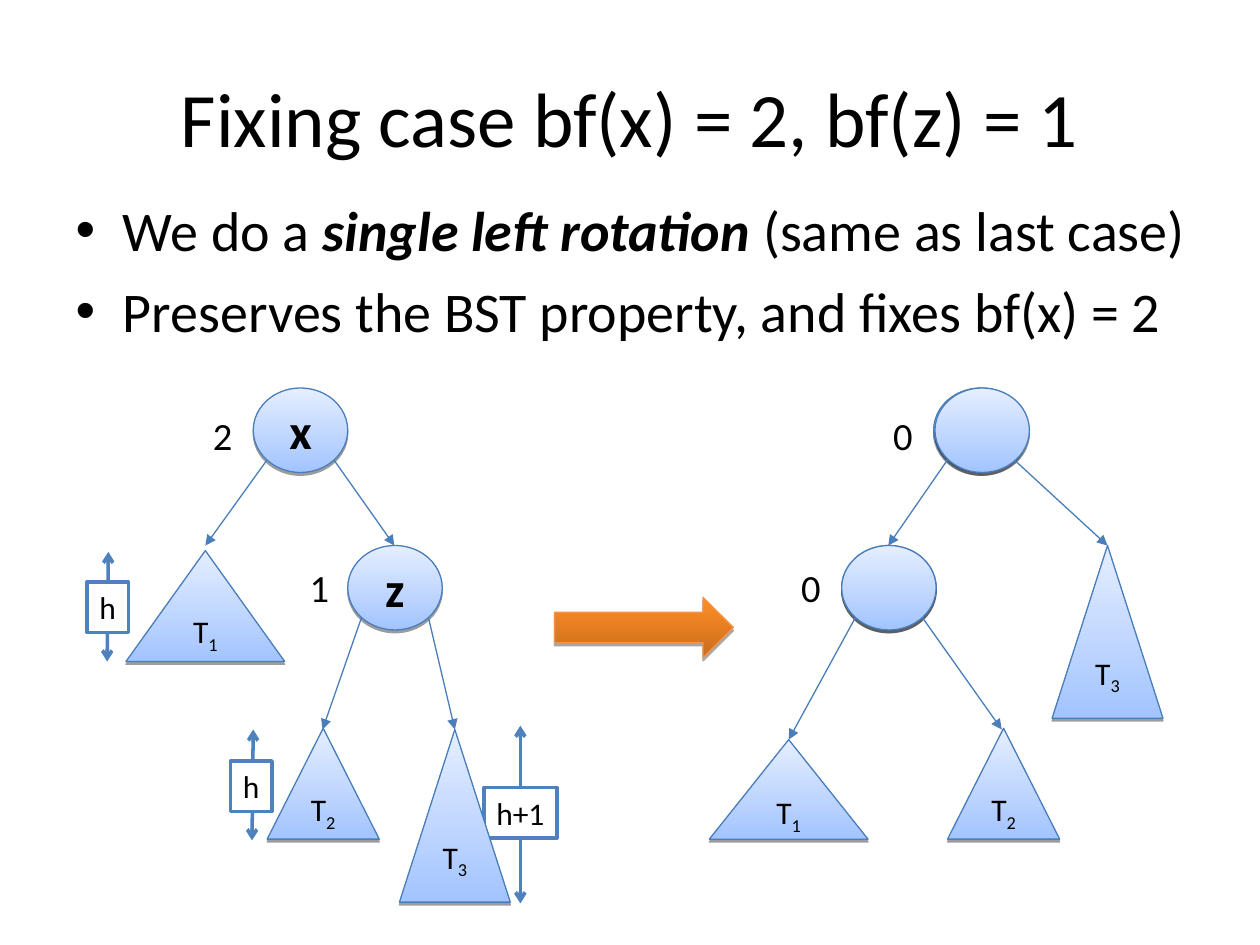
from typing import NamedTuple

from lxml.etree import SubElement
from pptx import Presentation
from pptx.dml.color import RGBColor
from pptx.enum.shapes import MSO_CONNECTOR as Connector, MSO_SHAPE as Preset
from pptx.enum.text import MSO_ANCHOR as Anchor, MSO_AUTO_SIZE as AutoSize, PP_ALIGN as Align
from pptx.oxml.ns import qn
from pptx.shapes.autoshape import Shape
from pptx.slide import Slide
from pptx.util import Inches, Pt

BLACK = RGBColor(0x00, 0x00, 0x00)
WHITE = RGBColor(0xFF, 0xFF, 0xFF)
BLUE_DARK = RGBColor(0xA3, 0xC4, 0xFF)
BLUE_LIGHT = RGBColor(0xE5, 0xEE, 0xFF)
BLUE_OUTLINE = RGBColor(0x4A, 0x7E, 0xBB)
MEASURE_BLUE = RGBColor(0x4F, 0x81, 0xBD)
ORANGE_DARK = RGBColor(0xCB, 0x6C, 0x1D)
ORANGE_LIGHT = RGBColor(0xFF, 0x8F, 0x26)
ORANGE_OUTLINE = RGBColor(0xF6, 0x92, 0x40)
FONT = "Calibri"
NODE_WIDTH, NODE_HEIGHT = 0.75, 0.67
BOX_HEIGHT = 0.4


class Style(NamedTuple):
    dark: RGBColor
    light: RGBColor
    outline: RGBColor
    shadow_alpha: int
    shadow_distance: float


class Node(NamedTuple):
    left: float
    top: float
    key: str = ""


class Balance(NamedTuple):
    left: float
    top: float
    factor: str


class Subtree(NamedTuple):
    left: float
    top: float
    width: float
    height: float
    index: str


class Line(NamedTuple):
    x1: float
    y1: float
    x2: float
    y2: float


class Measure(NamedTuple):
    line: Line
    left: float
    top: float
    width: float
    text: str


TREE_STYLE = Style(BLUE_DARK, BLUE_LIGHT, BLUE_OUTLINE, 38, 1.6)
ARROW_STYLE = Style(ORANGE_DARK, ORANGE_LIGHT, ORANGE_OUTLINE, 35, 1.8)

MEASURES = [
    Measure(Line(4.13, 5.76, 4.13, 7.17), 3.84, 6.25, 0.58, "h+1"),
    Measure(Line(0.86, 4.38, 0.85, 5.25), 0.69, 4.62, 0.33, "h"),
    Measure(Line(2.01, 5.79, 2.0, 6.67), 1.83, 6.04, 0.33, "h"),
]
SUBTREES = [
    Subtree(1.0, 4.37, 1.26, 0.88, "1"),
    Subtree(2.12, 5.78, 0.89, 0.88, "2"),
    Subtree(3.17, 5.79, 0.88, 1.37, "3"),
    Subtree(5.63, 5.87, 1.26, 0.79, "1"),
    Subtree(7.52, 5.78, 0.89, 0.88, "2"),
    Subtree(8.35, 4.33, 0.88, 1.37, "3"),
]
NODES = [
    Node(2.01, 3.08, "x"),
    Node(2.76, 4.33, "z"),
    Node(7.41, 3.08),
    Node(6.68, 4.33),
    Node(7.42, 3.08),
    Node(6.68, 4.33),
]
BALANCES = [
    Balance(1.59, 3.22, "2"),
    Balance(2.36, 4.43, "1"),
    Balance(6.99, 3.22, "0"),
    Balance(6.26, 4.43, "0"),
]
EDGES = [
    Line(2.12, 3.65, 1.63, 4.33),
    Line(2.65, 3.65, 3.13, 4.33),
    Line(2.87, 4.9, 2.56, 5.79),
    Line(3.4, 4.9, 3.61, 5.79),
    Line(7.52, 3.65, 7.05, 4.33),
    Line(8.05, 3.65, 8.79, 4.33),
    Line(6.79, 4.9, 6.26, 5.87),
    Line(7.32, 4.9, 7.95, 5.79),
]


def format_font(font, size: float, bold: bool = False) -> None:
    font.name, font.size, font.bold = FONT, Pt(size), bold
    font.color.rgb = BLACK


def place(shape: Shape, left: float, top: float, width: float, height: float) -> None:
    shape.left, shape.top = Inches(left), Inches(top)
    shape.width, shape.height = Inches(width), Inches(height)


def add_gradient_shape(slide: Slide, preset: Preset, left: float, top: float,
                       width: float, height: float, style: Style) -> Shape:
    shape = slide.shapes.add_shape(preset, Inches(left), Inches(top), Inches(width), Inches(height))
    shape.fill.gradient()
    shape.fill.gradient_angle = 90
    for stop, color in zip(shape.fill.gradient_stops, (style.dark, style.light)):
        stop.color.rgb = color
    shape.line.color.rgb = style.outline
    shape.line.width = Pt(0.75)
    shape.shadow.inherit = False
    effects = shape._element.spPr.find(qn("a:effectLst"))
    shadow = SubElement(effects, qn("a:outerShdw"), blurRad="0", dist=str(Pt(style.shadow_distance)),
                        dir="5400000", rotWithShape="0")
    color = SubElement(shadow, qn("a:srgbClr"), val=str(BLACK))
    SubElement(color, qn("a:alpha"), val=str(style.shadow_alpha * 1000))
    shape.text_frame.vertical_anchor = Anchor.MIDDLE
    shape.text_frame.paragraphs[0].alignment = Align.CENTER
    return shape


def add_line(slide: Slide, line: Line, color: RGBColor, width: float, **ends: str) -> None:
    connector = slide.shapes.add_connector(Connector.STRAIGHT, *map(Inches, line))
    connector.line.color.rgb = color
    connector.line.width = Pt(width)
    outline = connector.line._get_or_add_ln()
    for end, kind in ends.items():
        SubElement(outline, qn(f"a:{end}"), type=kind)
    SubElement(connector._element.spPr, qn("a:effectLst"))


def set_label(shape: Shape, text: str, size: float) -> None:
    frame = shape.text_frame
    frame.text = text
    frame.word_wrap = False
    frame.auto_size = AutoSize.SHAPE_TO_FIT_TEXT
    frame.vertical_anchor = Anchor.TOP
    frame.paragraphs[0].alignment = Align.LEFT
    format_font(frame.paragraphs[0].runs[0].font, size)


def add_measure(slide: Slide, measure: Measure) -> None:
    add_line(slide, measure.line, MEASURE_BLUE, 2, headEnd="arrow", tailEnd="arrow")
    box = slide.shapes.add_shape(Preset.RECTANGLE, Inches(measure.left), Inches(measure.top),
                                 Inches(measure.width), Inches(BOX_HEIGHT))
    box.shadow.inherit = False
    box.fill.solid()
    box.fill.fore_color.rgb = WHITE
    box.line.color.rgb = MEASURE_BLUE
    box.line.width = Pt(2)
    set_label(box, measure.text, 18)


def add_subtree(slide: Slide, subtree: Subtree) -> None:
    shape = add_gradient_shape(slide, Preset.ISOSCELES_TRIANGLE, *subtree[:4], TREE_STYLE)
    for text in ("T", subtree.index):
        run = shape.text_frame.paragraphs[0].add_run()
        run.text = text
        format_font(run.font, 18)
    run._r.get_or_add_rPr().set("baseline", "-25000")


def add_node(slide: Slide, node: Node) -> None:
    shape = add_gradient_shape(slide, Preset.OVAL, node.left, node.top, NODE_WIDTH, NODE_HEIGHT, TREE_STYLE)
    if node.key:
        run = shape.text_frame.paragraphs[0].add_run()
        run.text = node.key
        format_font(run.font, 28, bold=True)


def add_balance(slide: Slide, balance: Balance) -> None:
    box = slide.shapes.add_textbox(Inches(balance.left), Inches(balance.top), Inches(0.35), Inches(0.47))
    set_label(box, balance.factor, 22)


def fill_placeholders(slide: Slide) -> None:
    title, body = slide.placeholders
    place(title, 0.5, 0.3, 9, 1.25)
    title.text_frame.text = "Fixing case bf(x) = 2, bf(z) = 1"
    format_font(title.text_frame.paragraphs[0].runs[0].font, 44)
    place(body, 0.5, 1.5, 9.08, 4.95)
    first = body.text_frame.paragraphs[0]
    second = body.text_frame.add_paragraph()
    for text in ("We do a ", "single left rotation ", "(same as last case)"):
        first.add_run().text = text
    second.text = "Preserves the BST property, and fixes bf(x) = 2"
    first.space_before, second.space_before = Pt(0), Pt(8)
    for run in first.runs + second.runs:
        format_font(run.font, 32)
    emphasis = first.runs[1].font
    emphasis.bold = emphasis.italic = True


def main() -> None:
    presentation = Presentation()
    presentation.slide_width, presentation.slide_height = Inches(10), Inches(7.5)
    slide = presentation.slides.add_slide(presentation.slide_layouts[1])
    fill_placeholders(slide)
    for draw, items in ((add_measure, MEASURES), (add_subtree, SUBTREES),
                        (add_node, NODES), (add_balance, BALANCES)):
        for item in items:
            draw(slide, item)
    for edge in EDGES:
        add_line(slide, edge, BLUE_OUTLINE, 0.75, tailEnd="triangle")
    add_gradient_shape(slide, Preset.RIGHT_ARROW, 4.4, 4.74, 1.42, 0.48, ARROW_STYLE)
    presentation.save("out.pptx")


if __name__ == "__main__":
    main()
